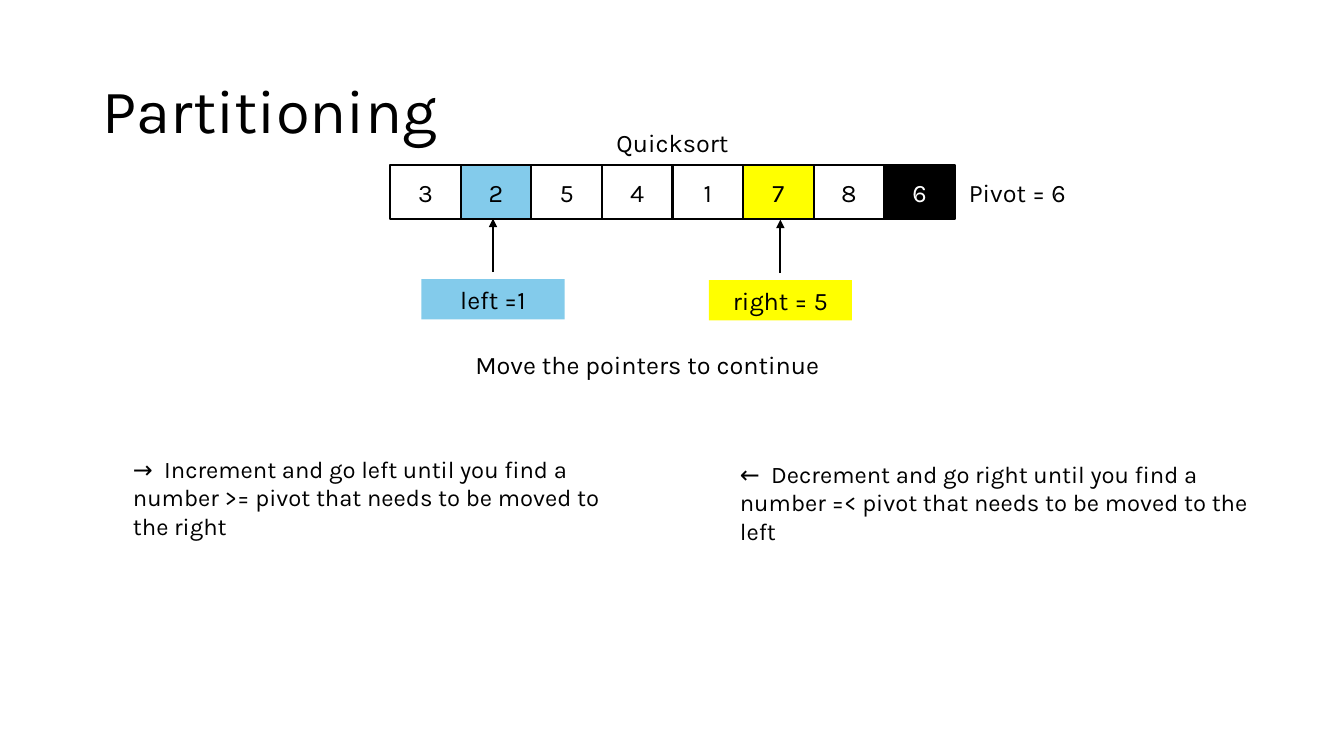
from lxml.etree import SubElement
from pptx import Presentation
from pptx.dml.color import RGBColor
from pptx.enum.shapes import MSO_CONNECTOR as Link, MSO_SHAPE as Kind
from pptx.enum.text import MSO_ANCHOR as Anchor, MSO_AUTO_SIZE as Fit, PP_ALIGN as Align
from pptx.oxml.ns import qn
from pptx.util import Emu, Pt

PX = 9144  # 100 px to the inch
INK = {"black": "000000", "white": "FFFFFF", "blue": "83CBEB", "yellow": "FFFF00"}


def px(*nums):
    return [Emu(num * PX) for num in nums]


def color(name):
    return RGBColor.from_string(INK[name])


class Board:
    font = "Karla"
    size = 18
    line = Pt(1.5)

    def __init__(self, slide):
        self.slide = slide

    def label(self, shape, text, size=None, ink="black", align=Align.LEFT,
              anchor=Anchor.TOP, fit=Fit.NONE):
        frame = shape.text_frame
        frame.text = text
        frame.word_wrap = True
        frame.auto_size = fit
        frame.vertical_anchor = anchor
        para = frame.paragraphs[0]
        para.alignment = align
        font = para.runs[0].font
        font.name, font.size = self.font, Pt(size or self.size)
        font.color.rgb = color(ink)
        return para

    def title(self, text, *box):
        shape = self.slide.shapes.title
        shape.left, shape.top, shape.width, shape.height = px(*box)
        para = self.label(shape, text, size=44, anchor=Anchor.MIDDLE)
        para.line_spacing = 0.9

    def note(self, text, *box, **style):
        shape = self.slide.shapes.add_textbox(*px(*box))
        self.label(shape, text, fit=Fit.SHAPE_TO_FIT_TEXT, **style)

    def rect(self, text, fill, *box, edge=False, **style):
        shape = self.slide.shapes.add_shape(Kind.RECTANGLE, *px(*box))
        shape.shadow.inherit = False
        shape.fill.solid()
        shape.fill.fore_color.rgb = color(fill)
        if edge:
            shape.line.color.rgb = color("black")
            shape.line.width = self.line
        else:
            shape.line.fill.background()
        self.label(shape, text, align=Align.CENTER, **style)

    def arrow(self, *ends):
        link = self.slide.shapes.add_connector(Link.STRAIGHT, *px(*ends))
        link.line.color.rgb = color("black")
        link.line.width = self.line
        props = link.element.spPr
        SubElement(props.find(qn("a:ln")), qn("a:tailEnd"), type="triangle")
        SubElement(props, qn("a:effectLst"))


def main():
    deck = Presentation()
    deck.slide_width, deck.slide_height = px(1333, 750)
    board = Board(deck.slides.add_slide(deck.slide_layouts[5]))

    # Title
    board.title("Partitioning", 92, 40, 1150, 145)

    # Array cells
    fills = {2: "blue", 7: "yellow", 6: "black"}
    for i, num in enumerate([3, 2, 5, 4, 1, 7, 8, 6]):
        fill = fills.get(num, "white")
        board.rect(str(num), fill, 387 + 70 * i, 164, 70, 53, edge=True,
                   ink="white" if fill == "black" else "black",
                   anchor=Anchor.MIDDLE)

    # Captions
    board.note("Quicksort", 534, 121, 266, 40, align=Align.CENTER)
    board.note("Pivot = 6", 951, 171, 128, 40)
    board.note("Move the pointers to continue", 192, 342, 900, 40,
               align=Align.CENTER)

    # Pointers: label below, arrow up to the cell
    for text, fill, mid, top in [("left =1", "blue", 489, 277),
                                 ("right = 5", "yellow", 774, 278)]:
        board.arrow(mid, top - 7, mid, top - 60)
        board.rect(text, fill, mid - 71, top, 142, 40)

    # Rules for moving the pointers
    board.note("→  Increment and go left until you find a number >= pivot "
               "that needs to be moved to the right", 122, 446, 515, 67, size=17)
    board.note("←  Decrement and go right until you find a number =< pivot "
               "that needs to be moved to the left", 724, 451, 534, 67, size=17)

    deck.save("out.pptx")


if __name__ == "__main__":
    main()
